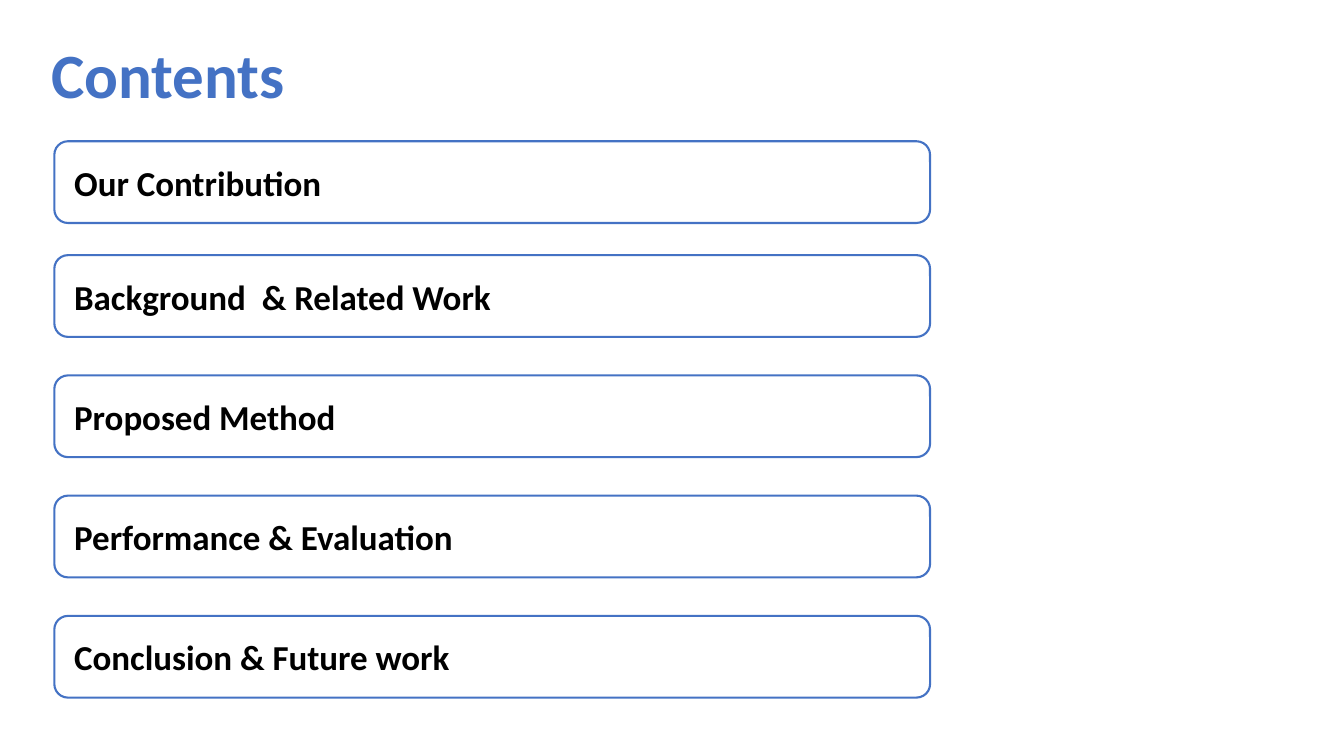
from dataclasses import dataclass

from pptx import Presentation
from pptx.dml.color import RGBColor
from pptx.enum.shapes import MSO_SHAPE
from pptx.enum.text import MSO_ANCHOR, PP_ALIGN
from pptx.util import Cm, Pt

ROUNDED = MSO_SHAPE.ROUNDED_RECTANGLE
MIDDLE = MSO_ANCHOR.MIDDLE
LEFT = PP_ALIGN.LEFT


@dataclass(frozen=True)
class Theme:
    font: str = "Calibri"
    accent: RGBColor = RGBColor(0x44, 0x72, 0xC4)
    text: RGBColor = RGBColor(0, 0, 0)
    title_size: Pt = Pt(45)
    topic_size: Pt = Pt(25)
    outline: Pt = Pt(1.5)


THEME = Theme()
TOPICS = [
    "Our Contribution",
    "Background  & Related Work",
    "Proposed Method",
    "Performance & Evaluation",
    "Conclusion & Future work",
]
FIRST_TOP = 3.56
SECOND_TOP = 6.43
TOPIC_STEP = 3.03


def add_text(tf, text, size, color):
    p = tf.paragraphs[0]
    p.alignment = LEFT
    r = p.add_run()
    r.text = text
    r.font.name = THEME.font
    r.font.size = size
    r.font.bold = True
    r.font.color.rgb = color


def add_title(s, text):
    sp = s.shapes.add_textbox(Cm(1.04), Cm(0.76), Cm(6.45), Cm(2.18))
    sp.text_frame.word_wrap = False
    add_text(sp.text_frame, text, THEME.title_size, THEME.accent)


def add_topic(s, top, text):
    sp = s.shapes.add_shape(ROUNDED, Cm(1.37), Cm(top), Cm(22.07), Cm(2.06))
    sp.shadow.inherit = False
    sp.fill.background()
    sp.line.color.rgb = THEME.accent
    sp.line.width = THEME.outline
    tf = sp.text_frame
    tf.word_wrap = True
    tf.vertical_anchor = MIDDLE
    tf.margin_left = Cm(0.4)
    add_text(tf, text, THEME.topic_size, THEME.text)


def main():
    prs = Presentation()
    prs.slide_width, prs.slide_height = Cm(33.87), Cm(19.05)
    s = prs.slides.add_slide(prs.slide_layouts[6])
    add_title(s, "Contents")
    tops = [FIRST_TOP] + [SECOND_TOP + i * TOPIC_STEP for i in range(len(TOPICS) - 1)]
    for top, topic in zip(tops, TOPICS):
        add_topic(s, top, topic)
    prs.save("out.pptx")


if __name__ == "__main__":
    main()
